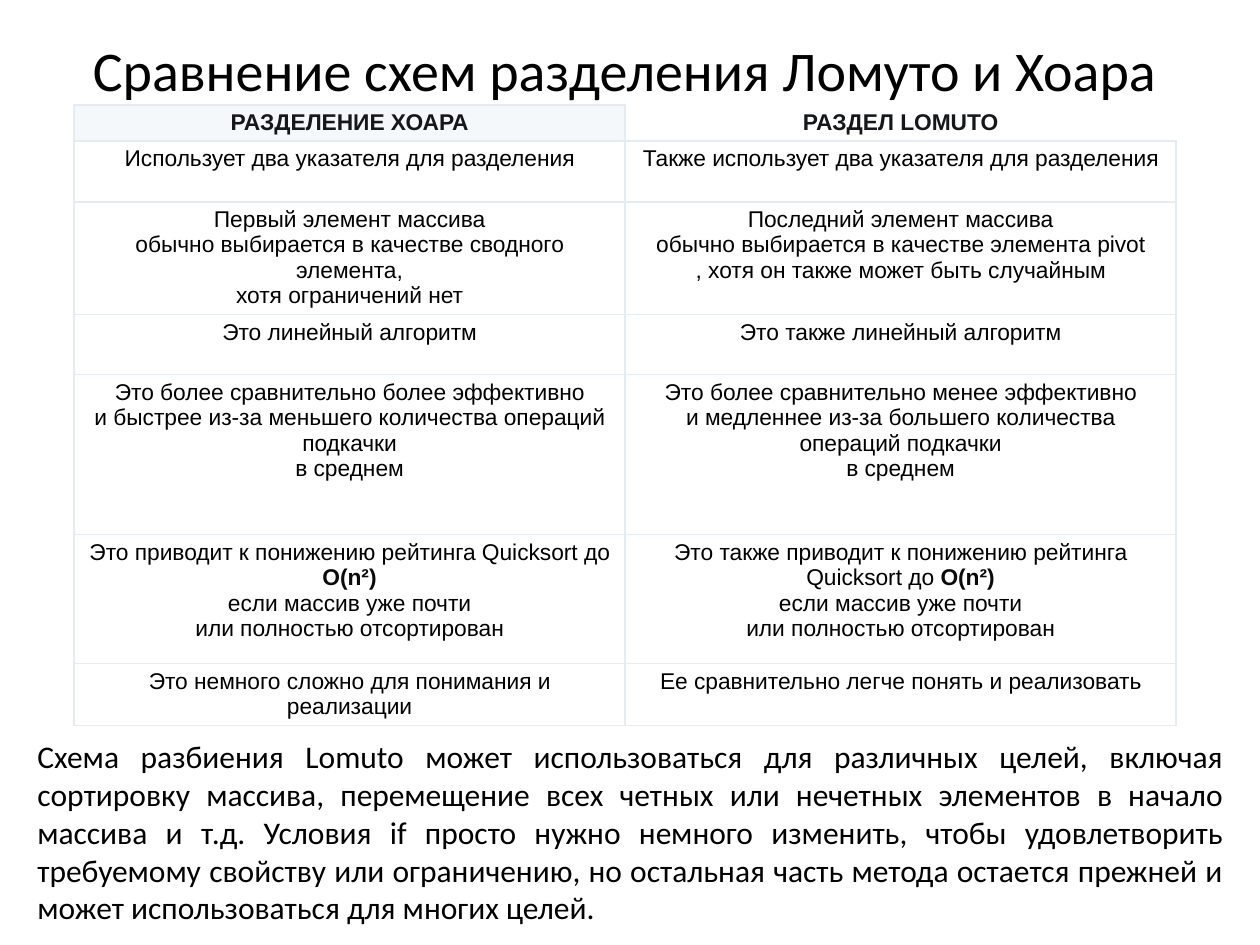
from pptx import Presentation
from pptx.dml.color import RGBColor as Rgb
from pptx.enum.text import MSO_ANCHOR as Anchor, MSO_AUTO_SIZE as AutoSize, PP_ALIGN as Align
from pptx.oxml import parse_xml
from pptx.oxml.ns import nsdecls
from pptx.util import Pt

COLORS = {"text": "000000", "header": "15171A", "formula": "090A0B",
          "header_fill": "F4F8FB", "border": "E3ECF3"}
TITLE = {"name": "Calibri", "size": Pt(32), "bold": False, "color": "text"}
SUMMARY = TITLE | {"size": Pt(18)}
CELL = {"name": "Arial", "size": Pt(13), "bold": False, "color": "text"}
HEADER = CELL | {"bold": True, "color": "header"}
FORMULA = CELL | {"bold": True, "color": "formula"}
ROW_HEIGHTS = [36, 61, 113, 60, 160, 129, 62]
COMPARISON = [
    ("РАЗДЕЛЕНИЕ ХОАРА", "РАЗДЕЛ LOMUTO"),
    ("Использует два указателя для разделения",
     "Также использует два указателя для разделения"),
    ("Первый элемент массива\nобычно выбирается в качестве сводного элемента,\nхотя ограничений нет",
     "Последний элемент массива\nобычно выбирается в качестве элемента pivot\n, хотя он также может быть случайным"),
    ("Это линейный алгоритм", "Это также линейный алгоритм"),
    ("Это более сравнительно более эффективно\nи быстрее из-за меньшего количества операций подкачки\nв среднем",
     "Это более сравнительно менее эффективно\nи медленнее из-за большего количества операций подкачки\nв среднем"),
    ("Это приводит к понижению рейтинга Quicksort до *O(n²)*\nесли массив уже почти\nили полностью отсортирован",
     "Это также приводит к понижению рейтинга Quicksort до *O(n²)*\nесли массив уже почти\nили полностью отсортирован"),
    ("Это немного сложно для понимания и реализации",
     "Ее сравнительно легче понять и реализовать"),
]
CONCLUSION = (
    "Схема разбиения Lomuto может использоваться для различных целей, включая "
    "сортировку массива, перемещение всех четных или нечетных элементов в начало "
    "массива и т.д. Условия if просто нужно немного изменить, чтобы удовлетворить "
    "требуемому свойству или ограничению, но остальная часть метода остается прежней "
    "и может использоваться для многих целей.")


def px(length):
    """Turn pixels into EMU."""
    return length * 914400 // 126


class SlideBuilder:
    """Hold the style and the current slide."""

    def __init__(self, slide, colors):
        """Keep the slide and its colours."""
        self.slide, self.colors = slide, colors

    def apply(self, target, values):
        """Set every attribute given in a dict."""
        for name, value in values.items():
            setattr(target, name, value)

    def add_text(self, frame, text, style, align):
        """Fill a frame, with formulas between asterisks and line breaks."""
        paragraph = frame.paragraphs[0]
        paragraph.alignment = align
        for part, segment in enumerate(text.split("*")):
            look = dict(FORMULA if part % 2 else style)
            color = Rgb.from_string(self.colors[look.pop("color")])
            for line, words in enumerate(segment.split("\n")):
                if line:
                    paragraph.add_line_break()
                if words:
                    run = paragraph.add_run()
                    run.text = words
                    self.apply(run.font, look)
                    run.font.color.rgb = color

    def title(self, text, left, top, width, height):
        """Place and fill the title placeholder."""
        heading = self.slide.shapes.title
        self.apply(heading, {"left": px(left), "top": px(top),
                             "width": px(width), "height": px(height)})
        self.apply(heading.text_frame, {"vertical_anchor": Anchor.MIDDLE,
                                        "auto_size": AutoSize.NONE, "word_wrap": True})
        self.add_text(heading.text_frame, text, TITLE, Align.CENTER)

    def paragraph(self, text, left, top, width, height):
        """Add a justified paragraph."""
        box = self.slide.shapes.add_textbox(px(left), px(top), px(width), px(height))
        self.apply(box.text_frame, {"word_wrap": True, "auto_size": AutoSize.SHAPE_TO_FIT_TEXT})
        self.add_text(box.text_frame, text, SUMMARY, Align.JUSTIFY)

    def borders(self, cell, visible):
        """Draw the chosen sides of a cell and hide the others."""
        properties = cell._tc.get_or_add_tcPr()
        solid = f'<a:solidFill><a:srgbClr val="{self.colors["border"]}"/></a:solidFill>'
        for side in "LRTB":
            paint = solid if side in visible else "<a:noFill/>"
            properties.append(parse_xml(
                f'<a:ln{side} {nsdecls("a")} w="{Pt(0.75)}">{paint}</a:ln{side}>'))

    def table(self, rows, heights, left, top, width):
        """Add the comparison table with equal columns."""
        grid = self.slide.shapes.add_table(
            len(rows), len(rows[0]), px(left), px(top), px(width), px(sum(heights))).table
        self.apply(grid, {"first_row": False, "horz_banding": False})
        for row, height in zip(grid.rows, heights):
            row.height = px(height)
        for r, texts in enumerate(rows):
            for c, text in enumerate(texts):
                cell = grid.cell(r, c)
                self.apply(cell, {"margin_left": px(11), "margin_right": px(11),
                                  "margin_top": px(5), "margin_bottom": px(5),
                                  "vertical_anchor": Anchor.TOP})
                self.borders(cell, "LB" if (r, c) == (0, 1) else "LRTB")
                if (r, c) == (0, 0):
                    cell.fill.solid()
                    cell.fill.fore_color.rgb = Rgb.from_string(self.colors["header_fill"])
                else:
                    cell.fill.background()
                self.add_text(cell.text_frame, text, CELL if r else HEADER, Align.CENTER)


def main():
    """Build and save the comparison slide."""
    deck = Presentation()
    deck.slide_width, deck.slide_height = px(1260), px(945)
    builder = SlideBuilder(deck.slides.add_slide(deck.slide_layouts[5]), COLORS)
    builder.title("Сравнение схем разделения Ломуто и Хоара", 44, 26, 1162, 87)
    builder.table(COMPARISON, ROW_HEIGHTS, 74, 105, 1102)
    builder.paragraph(CONCLUSION, 25, 731, 1211, 204)
    deck.save("out.pptx")


if __name__ == "__main__":
    main()
